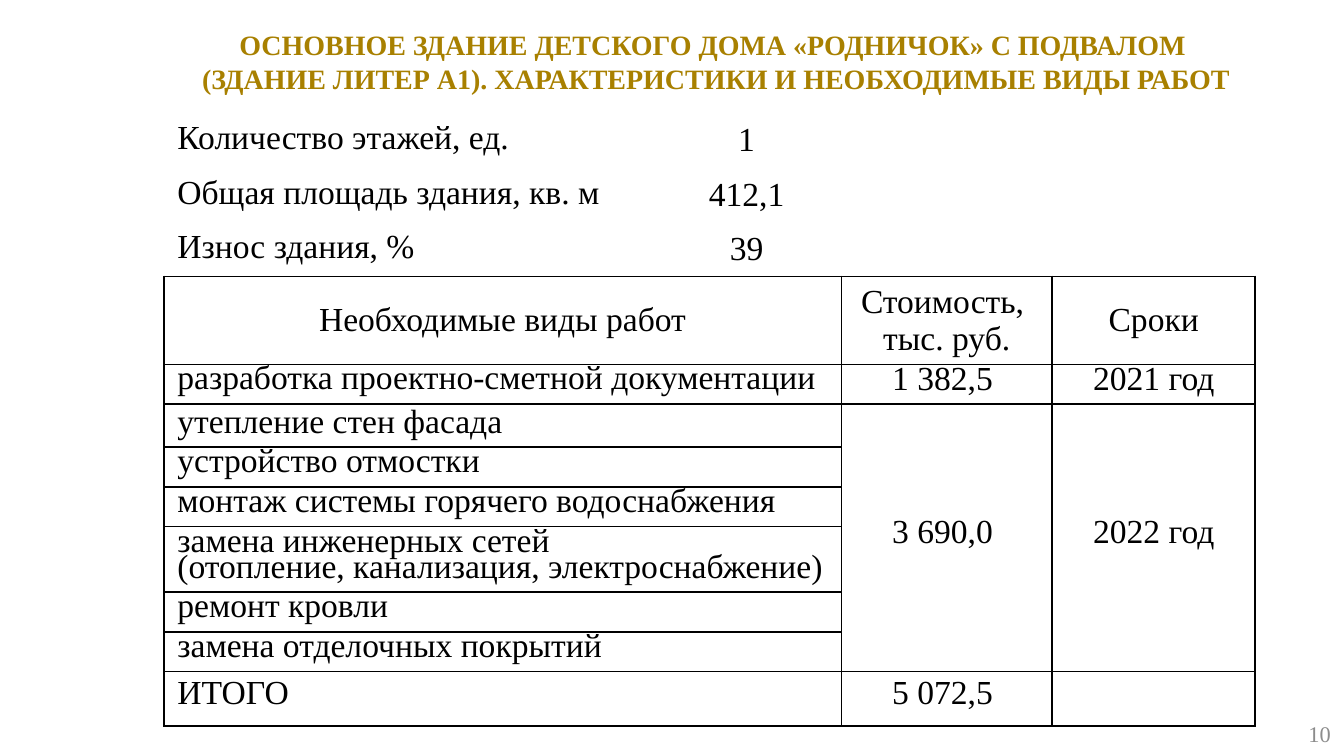
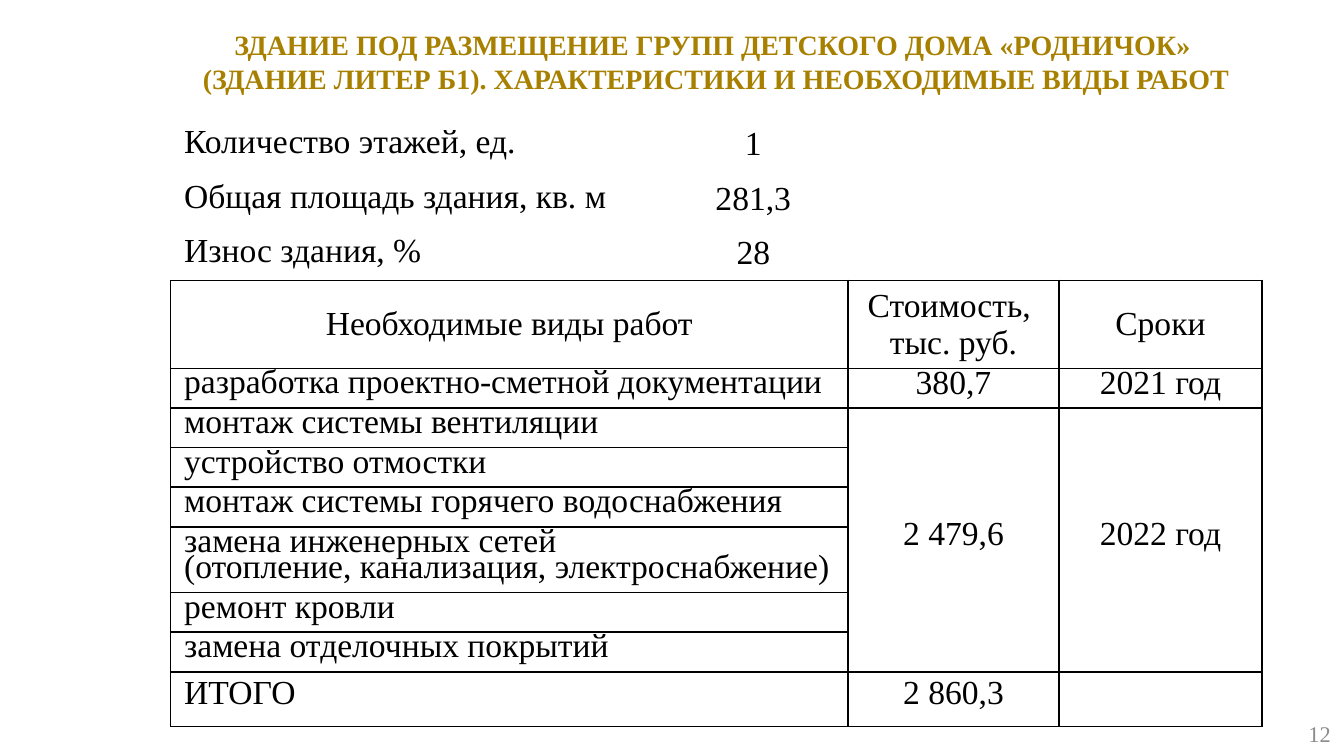
from dataclasses import dataclass
from typing import Optional

import pptx
import pptx.dml.color
import pptx.enum.text
import pptx.oxml
import pptx.oxml.ns
import pptx.presentation
import pptx.slide
import pptx.table
import pptx.text.text
import pptx.util

Inches = pptx.util.Inches
Pt = pptx.util.Pt
Align = pptx.enum.text.PP_ALIGN
Anchor = pptx.enum.text.MSO_ANCHOR

FONT = "Times New Roman"
GOLD, BLACK, GREY, WHITE = "A88000", "000000", "8C8C8C", "FFFFFF"
COLUMN_WIDTHS = (3.63, 1.41, 1.57, 1.51)
ROW_HEIGHTS = (0.29, 0.29, 0.39, 0.51, 0.29, 0.23, 0.23, 0.23, 0.39, 0.23, 0.23, 0.29)
FACT_LABELS = ("Количество этажей, ед.", "Общая площадь здания, кв. м", "Износ здания, %")
HEADER_ROW, DESIGN_ROW, FIRST_WORK_ROW = 3, 4, 5
TOTAL_ROW = len(ROW_HEIGHTS) - 1
COMMON_WORKS = (
    "устройство отмостки",
    "монтаж системы горячего водоснабжения",
    "замена инженерных сетей\n(отопление, канализация, электроснабжение)",
    "ремонт кровли",
    "замена отделочных покрытий",
)
TIGHT = 14


@dataclass
class Building:
    title: str
    number: str
    left: float
    top: float
    height: float
    facts: tuple[str, str, str]
    first_work: str
    first_work_spacing: int
    design_cost: str
    works_cost: str
    total_cost: str


BUILDINGS = (
    Building(
        title="ОСНОВНОЕ ЗДАНИЕ ДЕТСКОГО ДОМА «РОДНИЧОК» С ПОДВАЛОМ \n"
        "(ЗДАНИЕ ЛИТЕР А1). ХАРАКТЕРИСТИКИ И НЕОБХОДИМЫЕ ВИДЫ РАБОТ",
        number="10", left=1.22, top=0.84, height=4.48,
        facts=("1", "412,1", "39"),
        first_work="утепление стен фасада", first_work_spacing=16,
        design_cost="1 382,5 ", works_cost="3 690,0 ", total_cost="5 072,5 ",
    ),
    Building(
        title="ЗДАНИЕ ПОД РАЗМЕЩЕНИЕ ГРУПП ДЕТСКОГО ДОМА «РОДНИЧОК» \n"
        "(ЗДАНИЕ ЛИТЕР Б1). ХАРАКТЕРИСТИКИ И НЕОБХОДИМЫЕ ВИДЫ РАБОТ",
        number="12", left=1.27, top=0.87, height=4.45,
        facts=("1", "281,3", "28"),
        first_work="монтаж системы вентиляции", first_work_spacing=TIGHT,
        design_cost="380,7", works_cost="2 479,6", total_cost="2 860,3",
    ),
)


def rgb(color: str) -> pptx.dml.color.RGBColor:
    return pptx.dml.color.RGBColor.from_string(color)


def write(frame: pptx.text.text.TextFrame, text: str, size: int, color: str,
          align: Align, bold: bool = False, spacing: Optional[int] = None) -> None:
    """Fill a text frame, one paragraph per line; spacing is exact, in points."""
    frame.text = text
    for para in frame.paragraphs:
        para.alignment = align
        if spacing:
            para.line_spacing = Pt(spacing)
        for span in para.runs:
            span.font.name = FONT
            span.font.size = Pt(size)
            span.font.bold = bold
            span.font.color.rgb = rgb(color)


def set_borders(cell: pptx.table._Cell, sides: str) -> None:
    """Draw black lines on the named sides (of LRTB) and none on the others."""
    properties = cell._tc.get_or_add_tcPr()
    namespace = pptx.oxml.ns.nsdecls("a")
    for side in "LRTB":
        paint = f'<a:solidFill><a:srgbClr val="{BLACK}"/></a:solidFill>' if side in sides else "<a:noFill/>"
        properties.append(pptx.oxml.parse_xml(
            f'<a:ln{side} {namespace} w="{Pt(1)}">{paint}</a:ln{side}>'))


def write_cell(table: pptx.table.Table, row: int, column: int, text: str,
               centred: bool = True, spacing: Optional[int] = None) -> None:
    cell = table.cell(row, column)
    if centred or row == TOTAL_ROW:
        cell.vertical_anchor = Anchor.MIDDLE
    write(cell.text_frame, text, 18, BLACK, Align.CENTER if centred else Align.LEFT, spacing=spacing)


def add_works_table(page: pptx.slide.Slide, building: Building) -> None:
    frame = page.shapes.add_table(
        len(ROW_HEIGHTS), len(COLUMN_WIDTHS), Inches(building.left), Inches(building.top),
        Inches(sum(COLUMN_WIDTHS)), Inches(building.height))
    table = frame.table
    table.first_row = table.horz_banding = False
    for column, width in zip(table.columns, COLUMN_WIDTHS):
        column.width = Inches(width)
    for index, (row, height) in enumerate(zip(table.rows, ROW_HEIGHTS)):
        row.height = Inches(height)
        sides = "LRTB" if index >= HEADER_ROW else "B" if index == HEADER_ROW - 1 else ""
        for cell in row.cells:
            set_borders(cell, sides)
            cell.fill.solid()
            cell.fill.fore_color.rgb = rgb(WHITE)
        first = 0 if index >= HEADER_ROW else 2
        table.cell(index, first).merge(table.cell(index, first + 1))
    frame.height = Inches(building.height)
    for column in (2, 3):
        table.cell(FIRST_WORK_ROW, column).merge(table.cell(TOTAL_ROW - 1, column))

    for row, (label, value) in enumerate(zip(FACT_LABELS, building.facts)):
        write_cell(table, row, 0, label, centred=False)
        write_cell(table, row, 1, value)
    for column, heading in ((0, "Необходимые виды работ"), (2, "Стоимость, \nтыс. руб."), (3, "Сроки")):
        write_cell(table, HEADER_ROW, column, heading)
    works = ("разработка проектно-сметной документации", building.first_work, *COMMON_WORKS, "ИТОГО")
    for row, work in enumerate(works, DESIGN_ROW):
        spacing = building.first_work_spacing if row == FIRST_WORK_ROW else TIGHT
        write_cell(table, row, 0, work, centred=False, spacing=spacing)
    for row, cost, term in (
        (DESIGN_ROW, building.design_cost, "2021 год"),
        (FIRST_WORK_ROW, building.works_cost, "2022 год"),
        (TOTAL_ROW, building.total_cost, ""),
    ):
        write_cell(table, row, 2, cost, spacing=TIGHT)
        if term:
            write_cell(table, row, 3, term, spacing=TIGHT)


def add_title(page: pptx.slide.Slide, text: str) -> None:
    title = page.shapes.title
    title.left, title.top, title.width, title.height = map(Inches, (1, 0.06, 8.66, 0.79))
    frame = title.text_frame
    frame.word_wrap = True
    frame.auto_size = pptx.enum.text.MSO_AUTO_SIZE.NONE
    frame.vertical_anchor = Anchor.MIDDLE
    write(frame, text, 15, GOLD, Align.CENTER, bold=True)


def add_page_number(page: pptx.slide.Slide, number: str) -> None:
    box = page.shapes.add_textbox(Inches(9.57), Inches(5.29), Inches(0.43), Inches(0.34))
    box.text_frame.word_wrap = True
    box.text_frame.vertical_anchor = Anchor.MIDDLE
    write(box.text_frame, number, 12, GREY, Align.RIGHT)


def add_building_page(deck: pptx.presentation.Presentation, building: Building) -> None:
    page = deck.slides.add_slide(deck.slide_layouts.get_by_name("Title Only"))
    add_title(page, building.title)
    add_works_table(page, building)
    add_page_number(page, building.number)


def main() -> None:
    deck = pptx.Presentation()
    deck.slide_width = Inches(10)
    deck.slide_height = deck.slide_width * 9 // 16
    for building in BUILDINGS:
        add_building_page(deck, building)
    deck.save("out.pptx")


if __name__ == "__main__":
    main()
